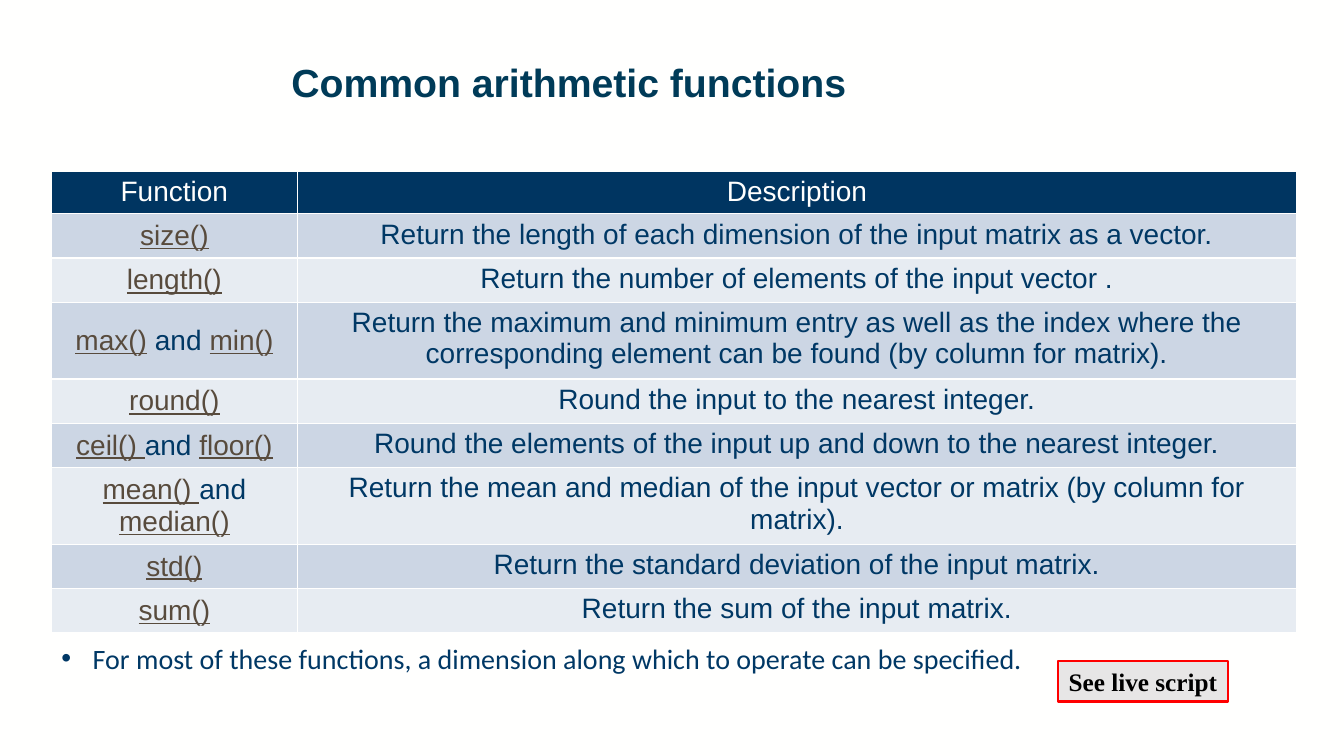
import pptx
import pptx.util
import pptx.dml.color
import pptx.enum.shapes
import pptx.enum.text
import pptx.oxml
import pptx.oxml.ns

Inches, Pt = pptx.util.Inches, pptx.util.Pt
ALIGN = pptx.enum.text.PP_ALIGN
ANCHOR = pptx.enum.text.MSO_ANCHOR
NONE = pptx.enum.text.MSO_AUTO_SIZE.NONE
WHITE, NAVY, LINK = "FFFFFE", "003865", "584B3D"


def paint(target, color):
    """Give a fill a solid colour, or a font its text colour."""
    if hasattr(target, "solid"):
        target.solid()
        target = target.fore_color
    else:
        target = target.color
    target.rgb = pptx.dml.color.RGBColor.from_string(color)


def write(para, text, size, color, face="Arial", bold=False, under=False):
    run = para.add_run()
    run.text = text
    font = run.font
    font.size, font.name, font.bold, font.underline = Pt(size), face, bold, under
    paint(font, color)


deck = pptx.Presentation()
deck.slide_width, deck.slide_height = Inches(13.33), Inches(7.5)
slide = deck.slides.add_slide(deck.slide_layouts[1])
paint(slide.background.fill, WHITE)

# Title
title = slide.shapes.title
title.left, title.top = Inches(2.79), Inches(0.58)
title.width, title.height = Inches(10.07), Inches(0.97)
frame = title.text_frame
frame.auto_size, frame.vertical_anchor = NONE, ANCHOR.TOP
para = frame.paragraphs[0]
para.alignment, para.line_spacing = ALIGN.LEFT, 0.9
write(para, "Common arithmetic functions", 28, "003B58", bold=True)

# Function table: name runs, then description
rows = [
    (["Function"], "Description"),
    (["size()"], "Return the length of each dimension of the input matrix as a vector."),
    (["length()"], "Return the number of elements of the input vector ."),
    (["max()", " and ", "min()"],
     "Return the maximum and minimum entry as well as the index where the "
     "corresponding element can be found (by column for matrix)."),
    (["round()"], "Round the input to the nearest integer."),
    (["ceil() ", "and ", "floor()"],
     "Round the elements of the input up and down to the nearest integer."),
    (["mean() ", "and ", "median()"],
     "Return the mean and median of the input vector or matrix (by column for matrix)."),
    (["std()"], "Return the standard deviation of the input matrix."),
    (["sum()"], "Return the sum of the input matrix."),
]
table = slide.shapes.add_table(
    len(rows), 2, Inches(0.51), Inches(1.7), Inches(12.35), Inches(4.57)).table
table.columns[0].width, table.columns[1].width = Inches(2.44), Inches(9.91)

for r, (names, about) in enumerate(rows):
    head = r == 0
    tall = r in (3, 6)
    table.rows[r].height = Inches(0.42 if head else 0.76 if tall else 0.44)
    for c, parts in enumerate((names, [about])):
        cell = table.cell(r, c)
        props = cell._tc.get_or_add_tcPr()
        for side in "LRTB":
            props.append(pptx.oxml.parse_xml(
                f'<a:ln{side} {pptx.oxml.ns.nsdecls("a")} w="12700"><a:solidFill>'
                f'<a:srgbClr val="{WHITE}"/></a:solidFill></a:ln{side}>'))
        paint(cell.fill, "003561" if head else "CCD6E4" if r % 2 else "E7ECF2")
        if c == 0 and not head:
            cell.vertical_anchor = ANCHOR.MIDDLE
        para = cell.text_frame.paragraphs[0]
        para.alignment = ALIGN.CENTER
        for part in parts:
            link = "()" in part and c == 0
            color = WHITE if head else LINK if link else NAVY
            write(para, part, 20, color, under=link)

# Bulleted note
note = slide.placeholders[1]
note.left, note.top = Inches(0.51), Inches(6.31)
note.width, note.height = Inches(9.81), Inches(0.44)
frame = note.text_frame
frame.auto_size, frame.vertical_anchor = NONE, ANCHOR.TOP
para = frame.paragraphs[0]
props = para._p.get_or_add_pPr()
props.set("marL", str(Inches(0.31)))
props.set("indent", str(-Inches(0.31)))
for mark in ('buFont %s typeface="Arial"', 'buChar %s char="•"'):
    props.append(pptx.oxml.parse_xml(f'<a:{mark % pptx.oxml.ns.nsdecls("a")}/>'))
para.space_before = Pt(0)
write(para, "For most of these functions, a dimension along which to operate can be specified.",
      20, NAVY, "Calibri")

# Live script label
label = slide.shapes.add_shape(
    pptx.enum.shapes.MSO_SHAPE.RECTANGLE,
    Inches(10.49), Inches(6.56), Inches(1.69), Inches(0.4))
label.shadow.inherit = False
paint(label.fill, "E7E6E6")
paint(label.line.fill, "FF0000")
label.line.width = Pt(1.5)
label.text_frame.word_wrap = False
para = label.text_frame.paragraphs[0]
para.alignment = ALIGN.CENTER
write(para, "See live script", 18, "000000", "Times New Roman", bold=True)

deck.save("out.pptx")
